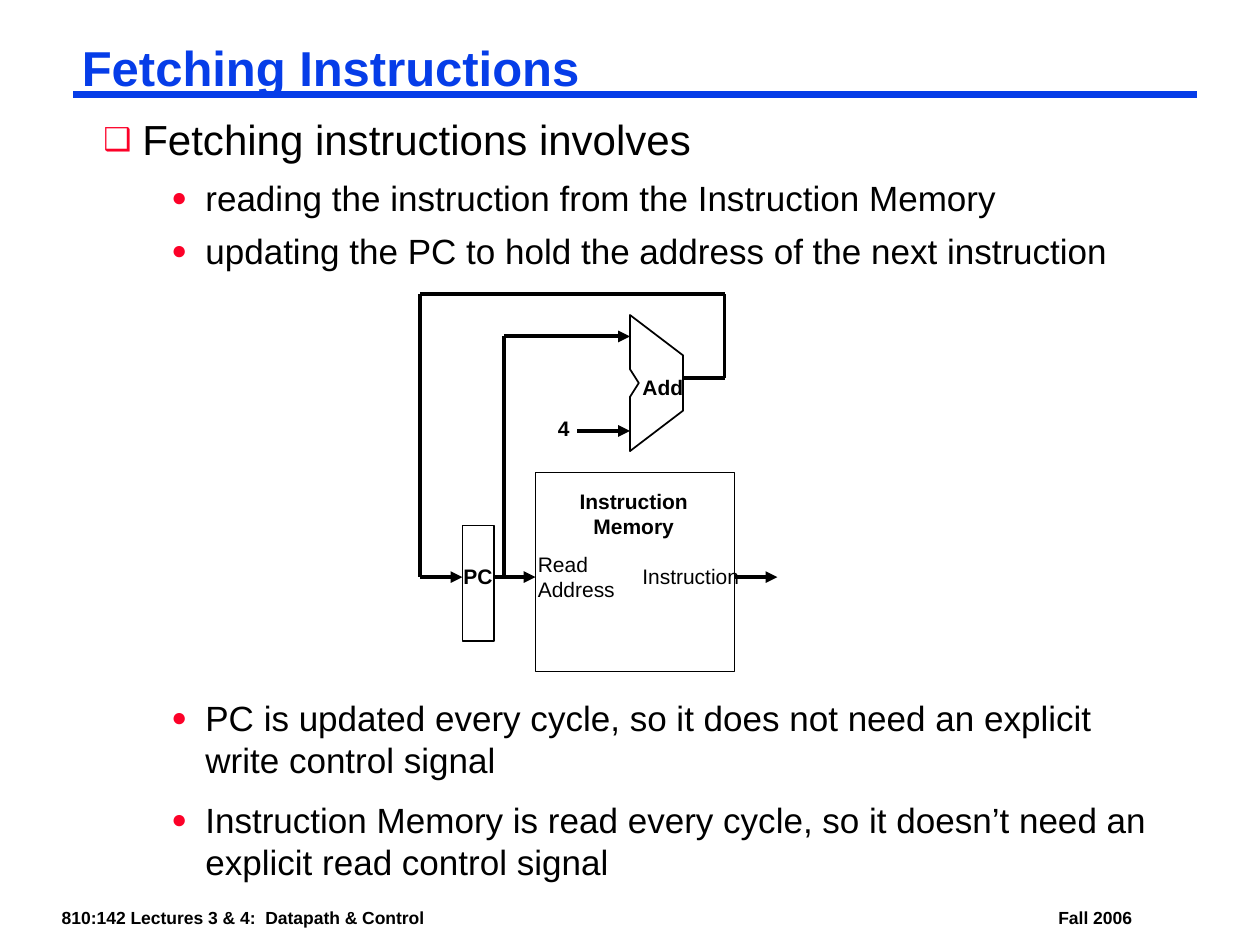
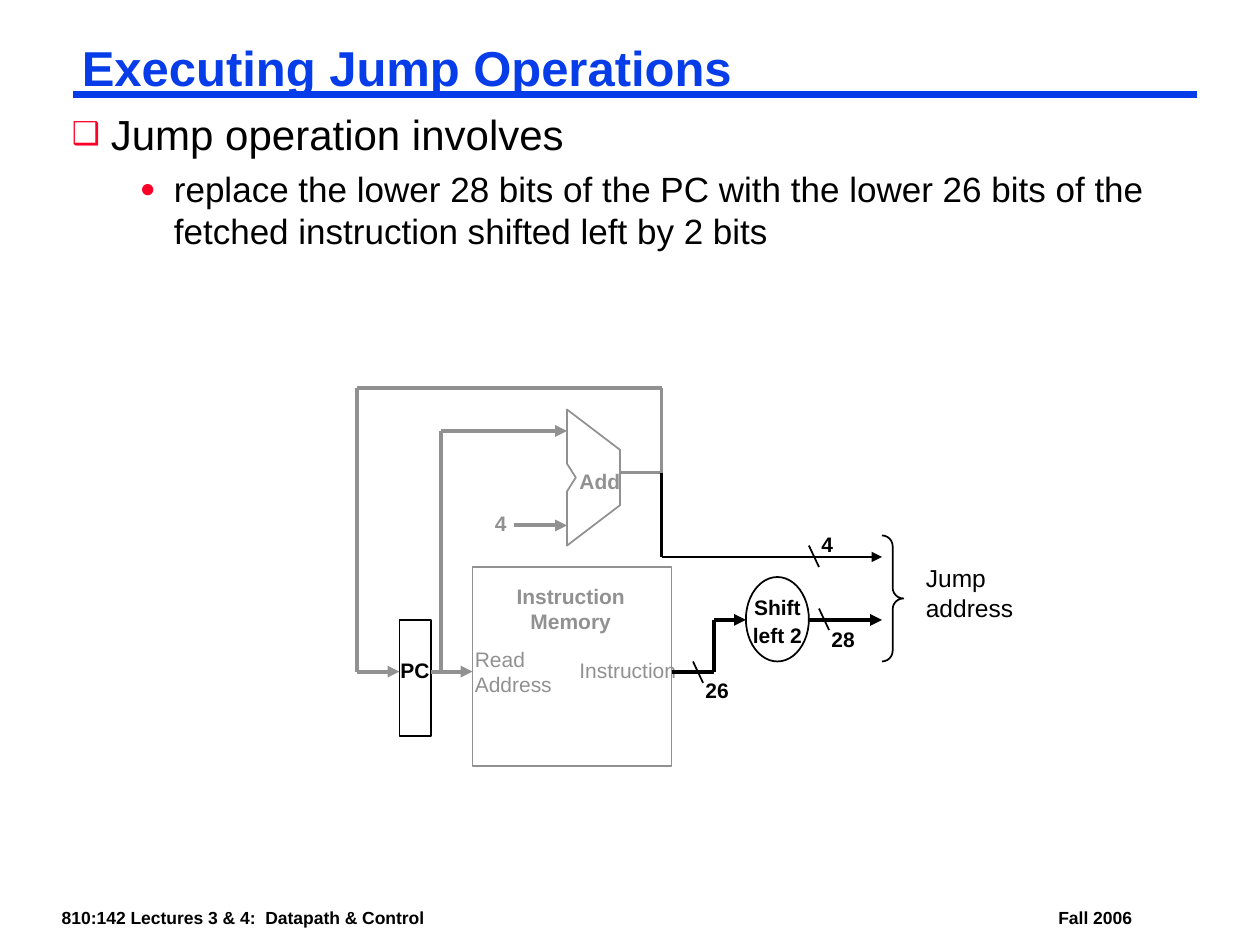
from functools import partial
from itertools import pairwise

from lxml.etree import SubElement
from pptx import Presentation
from pptx.dml.color import RGBColor
from pptx.enum.shapes import MSO_CONNECTOR as Connector, MSO_SHAPE as Shape
from pptx.enum.text import MSO_AUTO_SIZE as AutoSize, PP_ALIGN as Align
from pptx.oxml.ns import qn
from pptx.util import Inches, Pt

FONT = "Arial"
BLACK, GREY, BLUE, RED = "000000", "919191", "063DE8", "FC0128"
HEADING_INSETS = (0.07, 0.03)
LABEL_INSETS = (0.1, 0.05)
BULLETS = [("❑", 0.31, -0.31, 24), ("●", 0.81, -0.27, 20)]


def color(hex_code):
    return RGBColor.from_string(hex_code)


def write_text(slide, text, at, *, size=12, bold=False, ink=BLACK, align=None,
               insets=LABEL_INSETS, spacing=None, origin=(0, 0)):
    left, top, width, height = at
    box = slide.shapes.add_textbox(Inches(left + origin[0]), Inches(top + origin[1]),
                                   Inches(width), Inches(height))
    frame = box.text_frame
    frame.margin_left = frame.margin_right = Inches(insets[0])
    frame.margin_top = frame.margin_bottom = Inches(insets[1])
    frame.word_wrap = True
    frame.auto_size = AutoSize.NONE
    frame.text = text
    for paragraph in frame.paragraphs:
        paragraph.alignment = align
        paragraph.line_spacing = spacing
        for run in paragraph.runs:
            run.font.name = FONT
            run.font.size = Pt(size)
            run.font.bold = bold
            run.font.color.rgb = color(ink)
    return frame


def bullet_list(slide, at, items, *, before, spacing=(1.0, 1.0)):
    frame = write_text(slide, "\n".join(item for _, item in items), at,
                       insets=HEADING_INSETS)
    for paragraph, (level, _) in zip(frame.paragraphs, items):
        mark, margin, indent, size = BULLETS[level]
        paragraph.level = level
        paragraph.space_before = Pt(before[level])
        paragraph.line_spacing = spacing[level]
        paragraph.runs[0].font.size = Pt(size)
        properties = paragraph._p.get_or_add_pPr()
        properties.set("marL", str(Inches(margin)))
        properties.set("indent", str(Inches(indent)))
        tint = SubElement(properties, qn("a:buClr"))
        SubElement(tint, qn("a:srgbClr"), val=RED)
        SubElement(properties, qn("a:buSzPct"), val="75000")
        SubElement(properties, qn("a:buFont"), typeface=FONT)
        SubElement(properties, qn("a:buChar"), char=mark)


def wire(slide, *points, ink=BLACK, width=2.25, arrow=False, origin=(0, 0)):
    dx, dy = origin
    for (x1, y1), (x2, y2) in pairwise(points):
        segment = slide.shapes.add_connector(
            Connector.STRAIGHT, Inches(x1 + dx), Inches(y1 + dy),
            Inches(x2 + dx), Inches(y2 + dy))
        segment.line.color.rgb = color(ink)
        segment.line.width = Pt(width)
        SubElement(segment._element.spPr, qn("a:effectLst"))
    if arrow:
        SubElement(segment.line._get_or_add_ln(), qn("a:tailEnd"), type="triangle")


def outline(shape, ink):
    shape.shadow.inherit = False
    shape.fill.background()
    shape.line.color.rgb = color(ink)
    shape.line.width = Pt(1)


def unit(slide, kind, at, *, ink=BLACK, origin=(0, 0)):
    left, top, width, height = at
    block = slide.shapes.add_shape(kind, Inches(left + origin[0]), Inches(top + origin[1]),
                                   Inches(width), Inches(height))
    outline(block, ink)
    return block


def adder(slide, *, ink, origin):
    corners = [(5, 2.5), (5.42, 2.82), (5.42, 3.26), (5, 3.58),
               (5, 3.15), (5.07, 3.04), (5, 2.93)]
    start, *rest = [(Inches(x + origin[0]), Inches(y + origin[1])) for x, y in corners]
    builder = slide.shapes.build_freeform(*start)
    builder.add_line_segments(rest, close=True)
    outline(builder.convert_to_shape(), ink)


def fetch_datapath(slide, *, ink=BLACK, origin=(0, 0)):
    style = {"ink": ink, "origin": origin}
    draw_wire = partial(wire, slide, **style)
    label = partial(write_text, slide, **style)

    adder(slide, **style)
    unit(slide, Shape.RECTANGLE, (4.25, 3.75, 1.58, 1.58), **style)
    unit(slide, Shape.RECTANGLE, (3.67, 4.17, 0.25, 0.92), origin=origin)

    draw_wire((3.92, 4.58), (4.25, 4.58), arrow=True)
    draw_wire((4, 4.58), (4, 2.67), (5, 2.67), arrow=True)
    draw_wire((4.58, 3.42), (5, 3.42), arrow=True)
    draw_wire((5.42, 3), (5.75, 3), (5.75, 2.33), (3.33, 2.33),
              (3.33, 4.58), (3.67, 4.58), arrow=True)

    label("Read\nAddress", (4.17, 4.33, 0.95, 0.5))
    label("Instruction", (5, 4.42, 1.1, 0.3))
    label("Instruction\nMemory", (4.43, 3.83, 1.2, 0.5), bold=True, align=Align.CENTER)
    label("Add", (5, 2.92, 0.65, 0.3), bold=True)
    label("4", (4.33, 3.25, 0.4, 0.3), bold=True)
    write_text(slide, "PC", (3.58, 4.42, 0.55, 0.3), bold=True, origin=origin)


def bus_width(slide, bits, slash, label_at):
    x, y = slash
    wire(slide, (x, y), (x + 0.08, y + 0.17), width=1)
    write_text(slide, bits, (*label_at, 0.55, 0.3), bold=True)


def titled_slide(deck, title):
    slide = deck.slides.add_slide(deck.slide_layouts[6])
    footer = partial(write_text, slide, size=10, bold=True, insets=HEADING_INSETS)
    footer("810:142 Lectures 3 & 4:  Datapath & Control", (0.42, 7.17, 3.4, 0.22))
    footer("Fall 2006", (8.33, 7.17, 1, 0.22))
    wire(slide, (0.58, 0.75), (9.5, 0.75), ink=BLUE, width=4.5)
    write_text(slide, title, (0.58, 0.33, 8.92, 0.46), size=28, bold=True, ink=BLUE,
               insets=HEADING_INSETS, spacing=0.87)
    return slide


def fetching_slide(deck):
    slide = titled_slide(deck, "Fetching Instructions")
    bullet_list(slide, (0.75, 0.92, 8.58, 1.26), [
        (0, "Fetching instructions involves"),
        (1, "reading the instruction from the Instruction Memory"),
        (1, "updating the PC to hold the address of the next instruction"),
    ], before=(19.5, 10), spacing=(0.9, 0.85))
    fetch_datapath(slide)
    wire(slide, (5.83, 4.58), (6.17, 4.58), arrow=True)
    bullet_list(slide, (0.75, 5.5, 8.58, 1.53), [
        (1, "PC is updated every cycle, so it does not need an explicit write control signal"),
        (1, "Instruction Memory is read every cycle, so it doesn’t need an explicit "
            "read control signal"),
    ], before=(0, 10))


def jump_slide(deck):
    slide = titled_slide(deck, "Executing Jump Operations")
    bullet_list(slide, (0.5, 0.83, 8.92, 1.19), [
        (0, "Jump operation involves"),
        (1, "replace the lower 28 bits of the PC with the lower 26 bits of the "
            "fetched instruction shifted left by 2 bits"),
    ], before=(6, 5))
    fetch_datapath(slide, ink=GREY, origin=(-0.5, 0.75))

    unit(slide, Shape.OVAL, (5.92, 4.58, 0.5, 0.67))
    write_text(slide, "Shift\nleft 2", (5.87, 4.67, 0.6, 0.5), bold=True,
               align=Align.CENTER, insets=(0.02, 0.03), spacing=Pt(16))
    wire(slide, (5.33, 5.33), (5.67, 5.33), (5.67, 4.92), (5.92, 4.92), arrow=True)
    wire(slide, (6.42, 4.92), (7, 4.92), arrow=True)
    wire(slide, (5.25, 3.75), (5.25, 4.42), (7, 4.42), width=1.5, arrow=True)

    bus_width(slide, "4", (6.42, 4.33), (6.42, 4.17))
    bus_width(slide, "26", (5.5, 5.25), (5.5, 5.33))
    bus_width(slide, "28", (6.5, 4.83), (6.5, 4.92))

    brace = unit(slide, Shape.RIGHT_BRACE, (7, 4.25, 0.17, 1))
    brace.adjustments[0] = 0.5
    write_text(slide, "Jump\naddress", (7.25, 4.42, 1.1, 0.57), size=14)


def main():
    deck = Presentation()
    deck.slide_width, deck.slide_height = Inches(10), Inches(7.5)
    fetching_slide(deck)
    jump_slide(deck)
    deck.save("out.pptx")


if __name__ == "__main__":
    main()
